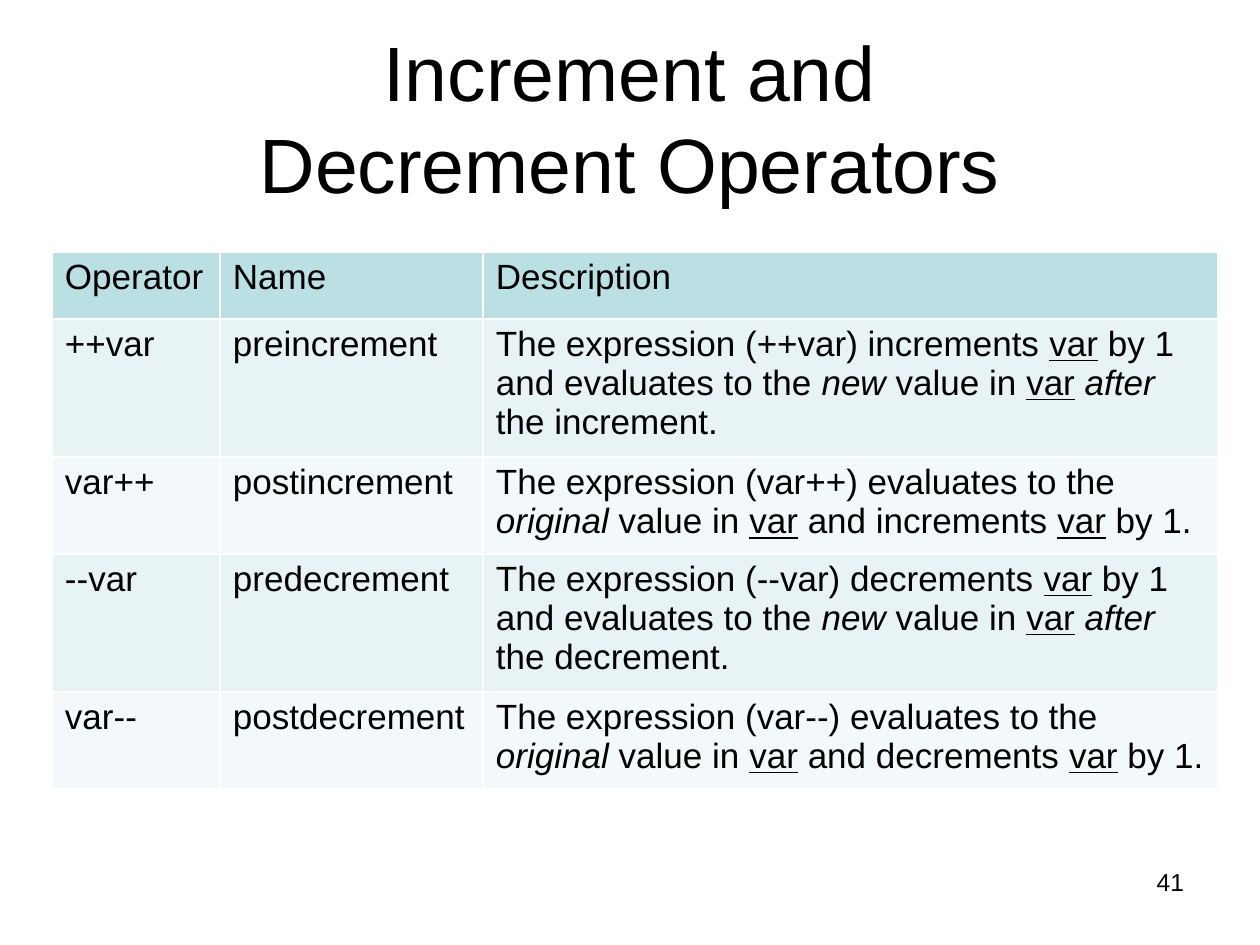
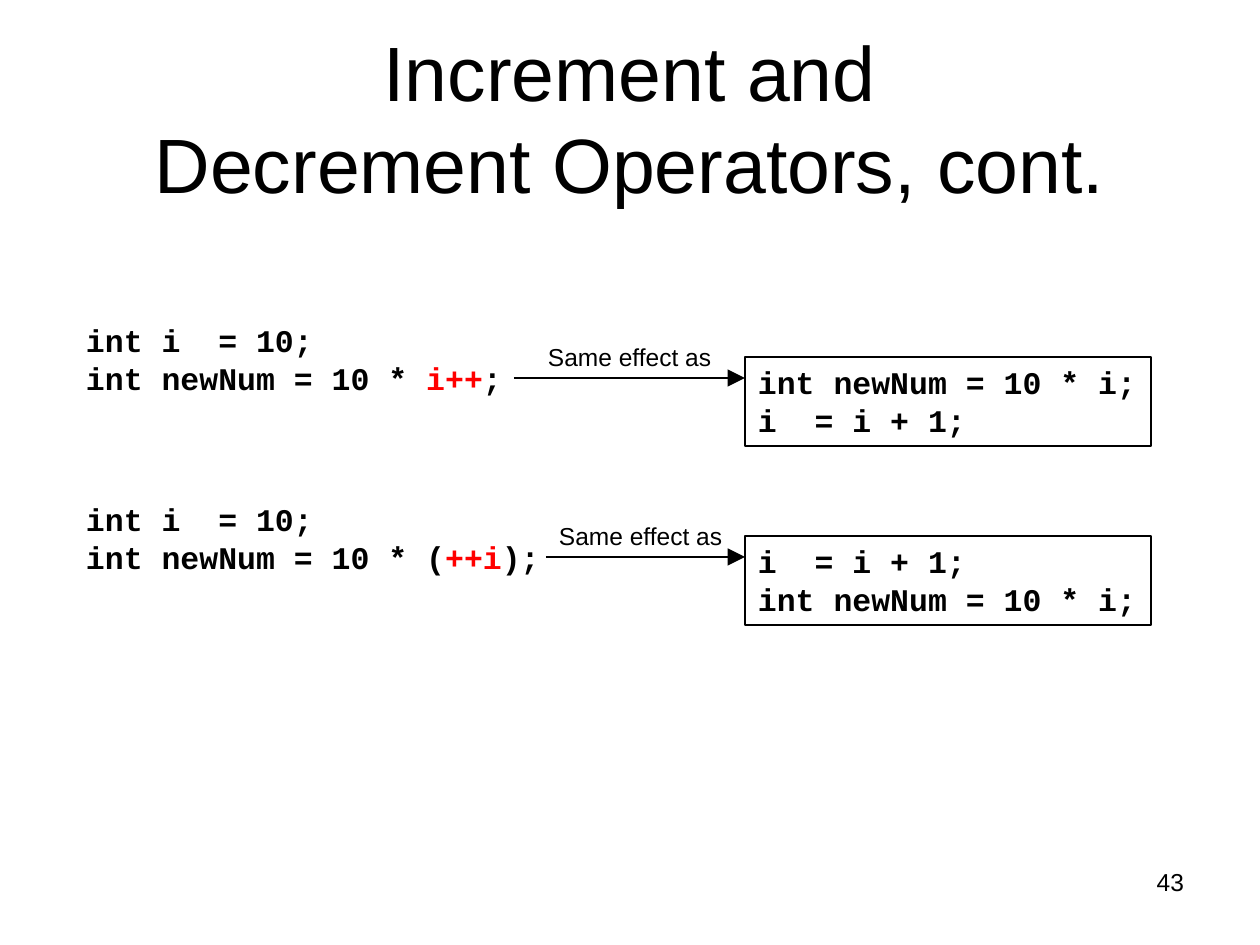
from lxml import etree
from pptx import Presentation
from pptx.dml.color import RGBColor
from pptx.enum.shapes import MSO_CONNECTOR, MSO_SHAPE
from pptx.enum.text import MSO_ANCHOR, PP_ALIGN
from pptx.oxml.ns import qn
from pptx.util import Emu, Pt

LEFT, CENTER, RIGHT = PP_ALIGN.LEFT, PP_ALIGN.CENTER, PP_ALIGN.RIGHT
TOP, MIDDLE = MSO_ANCHOR.TOP, MSO_ANCHOR.MIDDLE
RECTANGLE = MSO_SHAPE.RECTANGLE
STRAIGHT = MSO_CONNECTOR.STRAIGHT

COLORS = {
    "text": "000000",
    "accent": "FF0000",
    "header": "BBE0E3",
    "odd_row": "E7F3F4",
    "even_row": "F3F9FA",
    "border": "FFFFFF",
}
SANS, MONO = "Arial", "Courier New"
INSET_X, INSET_Y = 13, 6

# Run styles, used in (text, style) pairs
PLAIN, UNDERLINED, ITALIC, RED = "plain", "underlined", "italic", "red"


def px(length):
    return Emu(round(length * 914400 / 126))


def color(name):
    return RGBColor.from_string(COLORS[name])


def write_runs(paragraph, pieces, size, font=SANS, bold=False):
    for text, style in pieces:
        run = paragraph.add_run()
        run.text = text
        run.font.name = font
        run.font.size = Pt(size)
        run.font.bold = bold
        run.font.italic = style == ITALIC
        run.font.underline = style == UNDERLINED
        run.font.color.rgb = color("accent" if style == RED else "text")


def write_lines(frame, lines, size, font=SANS, bold=False, align=LEFT, anchor=TOP):
    """Fill a text frame with one paragraph for each list of pieces."""
    frame.word_wrap = True
    frame.vertical_anchor = anchor
    frame.margin_left = frame.margin_right = px(INSET_X)
    frame.margin_top = frame.margin_bottom = px(INSET_Y)
    for index, pieces in enumerate(lines):
        paragraph = frame.add_paragraph() if index else frame.paragraphs[0]
        paragraph.alignment = align
        write_runs(paragraph, pieces, size, font, bold)


def add_text(slide, box, lines, size, **style):
    textbox = slide.shapes.add_textbox(*map(px, box))
    write_lines(textbox.text_frame, lines, size, **style)


def new_slide(deck, title_lines, number):
    """Add a slide with the shared title and slide number."""
    slide = deck.slides.add_slide(deck.slide_layouts[6])
    add_text(slide, (63, 38, 1134, 157), [[(line, PLAIN)] for line in title_lines],
             44, align=CENTER, anchor=MIDDLE)
    add_text(slide, (903, 861, 294, 66), [[(str(number), PLAIN)]], 14, align=RIGHT)
    return slide


# Operator table

def prefix_text(expression, action):
    return [(f"The expression ({expression}) {action}s ", PLAIN), ("var", UNDERLINED),
            (" by 1 and evaluates to the ", PLAIN), ("new", ITALIC),
            (" value in ", PLAIN), ("var", UNDERLINED), (" ", PLAIN),
            ("after", ITALIC), (f" the {action}.", PLAIN)]


def postfix_text(expression, action):
    return [(f"The expression ({expression}) evaluates to the ", PLAIN),
            ("original", ITALIC), (" value in ", PLAIN), ("var", UNDERLINED),
            (f" and {action}s ", PLAIN), ("var", UNDERLINED), (" by 1.", PLAIN)]


def operator_rows():
    rows = [[[(heading, PLAIN)] for heading in ("Operator", "Name", "Description")]]
    for sign, action in (("++", "increment"), ("--", "decrement")):
        for expression, prefix, describe in (
            (sign + "var", "pre", prefix_text),
            ("var" + sign, "post", postfix_text),
        ):
            rows.append([[(expression, PLAIN)], [(prefix + action, PLAIN)],
                         describe(expression, action)])
    return rows


def set_borders(cell):
    properties = cell._tc.get_or_add_tcPr()
    for position, side in enumerate(("a:lnL", "a:lnR", "a:lnT", "a:lnB")):
        line = etree.Element(qn(side), w=str(Pt(1)))
        fill = etree.SubElement(line, qn("a:solidFill"))
        etree.SubElement(fill, qn("a:srgbClr"), val=COLORS["border"])
        properties.insert(position, line)


def add_operator_table(slide, left, top, widths, heights):
    rows = operator_rows()
    table = slide.shapes.add_table(
        len(rows), len(widths), px(left), px(top), px(sum(widths)), px(sum(heights))
    ).table
    for column, width in zip(table.columns, widths):
        column.width = px(width)
    for r, (cells, height) in enumerate(zip(rows, heights)):
        table.rows[r].height = px(height)
        fill_name = "header" if r == 0 else "odd_row" if r % 2 else "even_row"
        for c, pieces in enumerate(cells):
            cell = table.cell(r, c)
            cell.fill.solid()
            cell.fill.fore_color.rgb = color(fill_name)
            set_borders(cell)
            cell.margin_left = cell.margin_right = px(INSET_X)
            cell.margin_top = cell.margin_bottom = px(INSET_Y)
            write_runs(cell.text_frame.paragraphs[0], pieces, 20)


# Code comparison

def add_arrow(slide, start, end, y):
    arrow = slide.shapes.add_connector(STRAIGHT, px(start), px(y), px(end), px(y))
    arrow.line.color.rgb = color("text")
    arrow.line.width = Pt(0.75)
    etree.SubElement(arrow.line._get_or_add_ln(), qn("a:tailEnd"),
                     type="triangle", w="lg", len="lg")
    etree.SubElement(arrow._element.spPr, qn("a:effectLst"))


def add_equivalence(slide, left, top, short_code, short_width, long_code,
                    arrow_start, label_start):
    """Place short code, a labelled arrow and the boxed equivalent."""
    code_style = dict(font=MONO, bold=True)
    code_height, box_left = 89, left + 672
    add_text(slide, (left, top, short_width, code_height), short_code, 18, **code_style)

    code_box = slide.shapes.add_shape(
        RECTANGLE, *map(px, (box_left, top + 42, 406, code_height)))
    code_box.shadow.inherit = False
    code_box.fill.background()
    code_box.line.color.rgb = color("text")
    code_box.line.width = Pt(0.75)
    write_lines(code_box.text_frame, [[(line, PLAIN)] for line in long_code], 18,
                **code_style)

    add_arrow(slide, left + arrow_start, box_left, top + 63)
    add_text(slide, (left + label_start, top + 21, 190, 43),
             [[("Same effect as", PLAIN)]], 14)


def main():
    deck = Presentation()
    deck.slide_width, deck.slide_height = px(1260), px(945)

    table_slide = new_slide(deck, ["Increment and", "Decrement Operators"], 41)
    add_operator_table(table_slide, 52, 252, (168, 263, 735), (67, 138, 97, 138, 97))

    code_slide = new_slide(deck, ["Increment and", "Decrement Operators, cont."], 43)
    declare = [("int i  = 10;", PLAIN)]
    assign, increase = "int newNum = 10 * i;", "i  = i + 1;"
    add_equivalence(
        code_slide, 73, 315,
        [declare, [("int newNum = 10 * ", PLAIN), ("i++", RED), (";", PLAIN)]], 444,
        [assign, increase], arrow_start=441, label_start=462)
    add_equivalence(
        code_slide, 73, 494,
        [declare, [("int newNum = 10 * (", PLAIN), ("++i", RED), (");", PLAIN)]], 481,
        [increase, assign], arrow_start=473, label_start=473)

    deck.save("out.pptx")


if __name__ == "__main__":
    main()
